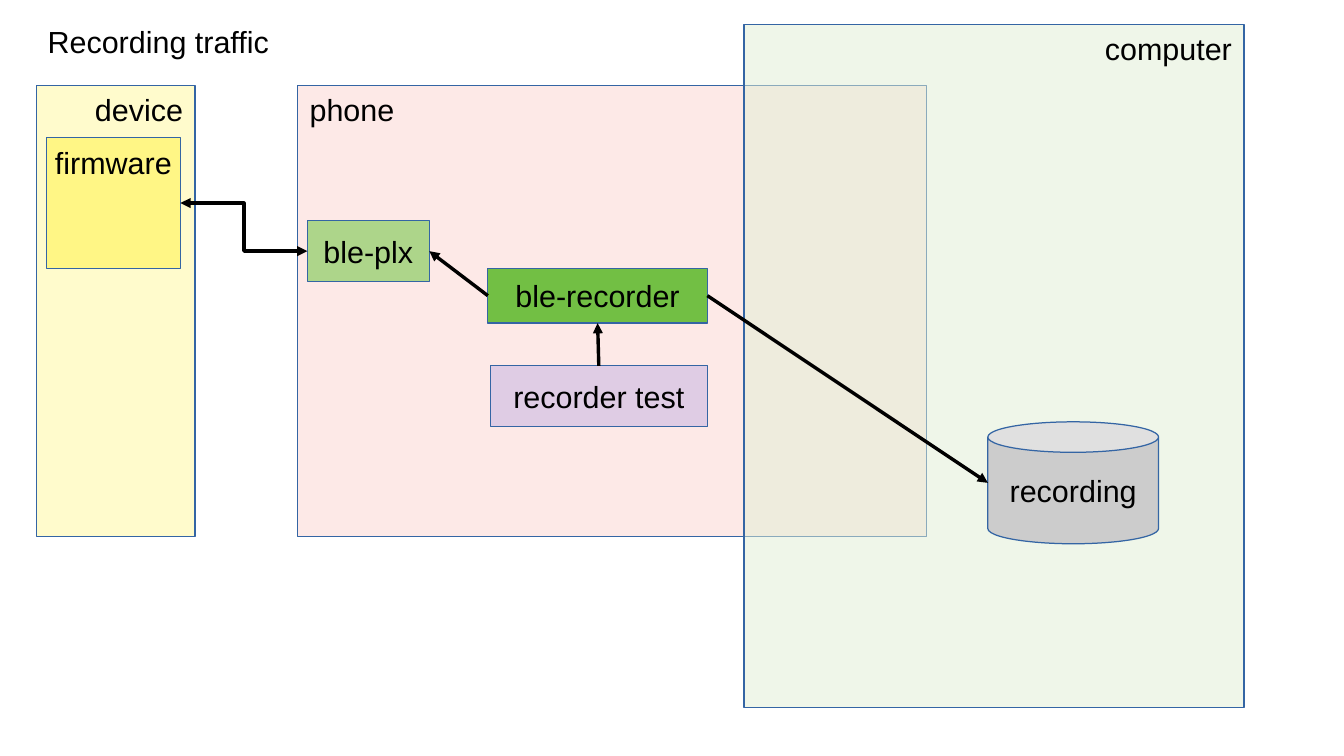
from lxml import etree
from pptx import Presentation
from pptx.dml.color import RGBColor
from pptx.enum.shapes import MSO_CONNECTOR, MSO_SHAPE
from pptx.enum.text import MSO_ANCHOR, PP_ALIGN
from pptx.oxml.ns import qn
from pptx.util import Pt

PX = 9144  # 100 px to the inch
RECT, CAN = MSO_SHAPE.RECTANGLE, MSO_SHAPE.CAN
STRAIGHT, ELBOW = MSO_CONNECTOR.STRAIGHT, MSO_CONNECTOR.ELBOW
LEFT, CENTER, RIGHT = PP_ALIGN.LEFT, PP_ALIGN.CENTER, PP_ALIGN.RIGHT
TOP, MIDDLE = MSO_ANCHOR.TOP, MSO_ANCHOR.MIDDLE
SIDE_TOP, SIDE_LEFT, SIDE_BOTTOM, SIDE_RIGHT = range(4)
FONT = {"name": "Arial", "size": Pt(18), "bold": False}


def color(hex_value):
    return RGBColor.from_string(hex_value)


def set_text(sp, text, align, anchor, wrap):
    tf = sp.text_frame
    tf.word_wrap = wrap
    tf.vertical_anchor = anchor
    p = tf.paragraphs[0]
    p.alignment = align
    r = p.add_run()
    r.text = text
    for name, value in FONT.items():
        setattr(r.font, name, value)
    r.font.color.rgb = color("000000")


prs = Presentation()
prs.slide_width, prs.slide_height = 1102 * PX, 620 * PX
slide = prs.slides.add_slide(prs.slide_layouts[5])

# Title
title = slide.shapes.title
title.left, title.top, title.width, title.height = [v * PX for v in (29, 14, 371, 38)]
set_text(title, "Recording traffic", LEFT, TOP, True)

# Areas and components, back to front: text, shape, box, fill, opacity %, align, anchor
BOXES = [
    ("device", RECT, (30, 70, 130, 370), "FFFBCC", 100, RIGHT, TOP),
    ("firmware", RECT, (38, 113, 110, 107), "FFF685", 100, CENTER, TOP),
    ("phone", RECT, (244, 70, 516, 370), "FCD4D1", 50, LEFT, TOP),
    ("computer", RECT, (610, 20, 410, 560), "E0EFD4", 50, RIGHT, TOP),
    ("ble-recorder", RECT, (400, 220, 180, 45), "72BF44", 100, CENTER, MIDDLE),
    ("ble-plx", RECT, (252, 181, 100, 50), "ADD58A", 100, CENTER, MIDDLE),
    ("recorder test", RECT, (402, 300, 178, 50), "DFCCE4", 100, CENTER, MIDDLE),
    ("recording", CAN, (810, 346, 140, 100), "CCCCCC", 100, CENTER, MIDDLE),
]
boxes = {}
for text, shape, box, fill, opacity, align, anchor in BOXES:
    sp = slide.shapes.add_shape(shape, *[v * PX for v in box])
    sp.shadow.inherit = False
    sp.fill.solid()
    sp.fill.fore_color.rgb = color(fill)
    if opacity < 100:
        rgb = sp.fill._xPr.find(".//" + qn("a:srgbClr"))
        etree.SubElement(rgb, qn("a:alpha"), val=str(opacity * 1000))
    sp.line.color.rgb = color("3465A4")
    sp.line.width = 0
    set_text(sp, text, align, anchor, False)
    boxes[text] = sp

# Arrows: kind, start box and side, end box and side, arrowheads
ARROWS = [
    (ELBOW, "firmware", SIDE_RIGHT, "ble-plx", SIDE_LEFT, ("headEnd", "tailEnd")),
    (STRAIGHT, "ble-recorder", SIDE_LEFT, "ble-plx", SIDE_RIGHT, ("tailEnd",)),
    (STRAIGHT, "recorder test", SIDE_TOP, "ble-recorder", SIDE_BOTTOM, ("tailEnd",)),
    (STRAIGHT, "ble-recorder", SIDE_RIGHT, "recording", None, ("tailEnd",)),
]
for kind, start, start_side, end, end_side, heads in ARROWS:
    target = boxes[end]
    cx = slide.shapes.add_connector(
        kind, 0, 0, target.left, target.top + target.height // 2)
    cx.begin_connect(boxes[start], start_side)
    if end_side is not None:
        cx.end_connect(target, end_side)
    cx.line.color.rgb = color("000000")
    cx.line.width = 0
    for head in heads:
        etree.SubElement(cx.line._ln, qn("a:" + head), type="triangle")
    etree.SubElement(cx._element.spPr, qn("a:effectLst"))

prs.save("out.pptx")
